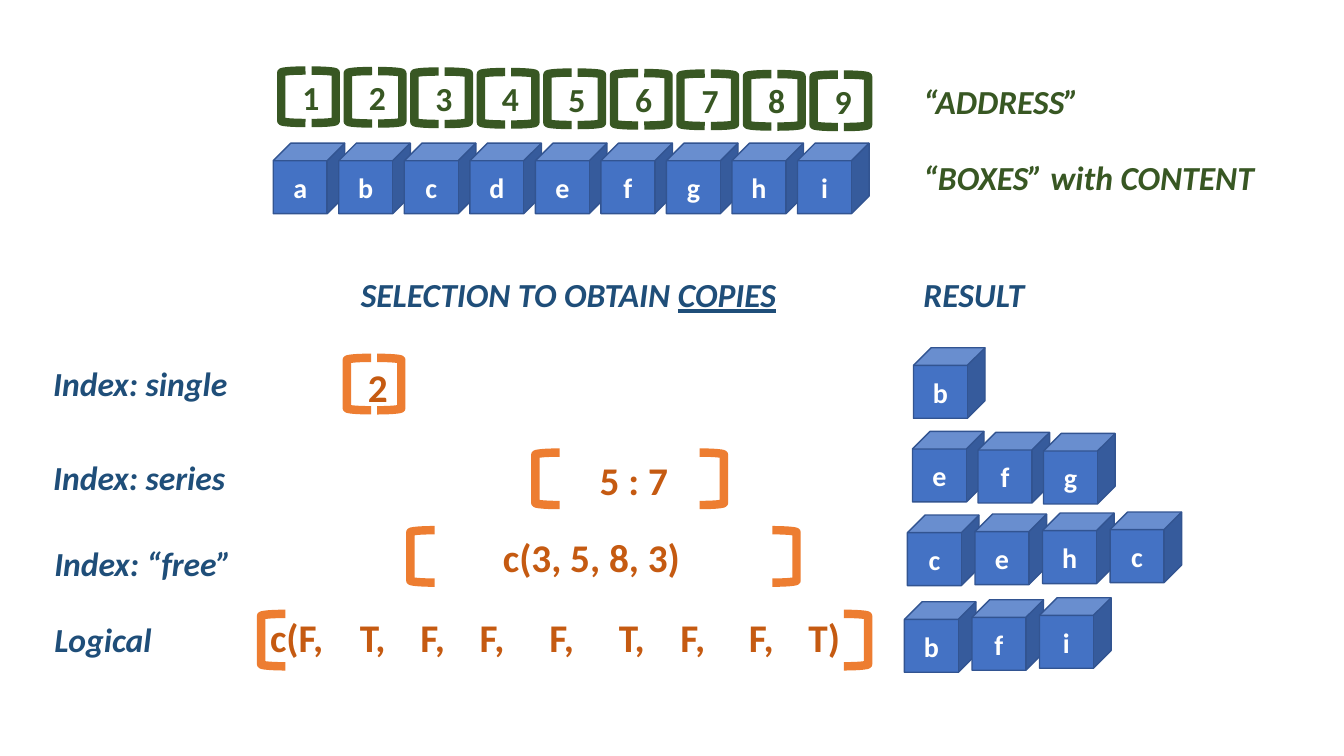
from dataclasses import dataclass

from lxml.etree import SubElement
from pptx import Presentation
from pptx.dml.color import RGBColor
from pptx.enum.shapes import MSO_SHAPE
from pptx.enum.text import MSO_ANCHOR, PP_ALIGN
from pptx.oxml.ns import qn
from pptx.util import Inches, Pt

FONT = "Calibri"
GREEN, NAVY = "385723", "1F4E79"
ORANGE, RUST = "ED7D31", "C55A11"
BLUE, EDGE, WHITE = "4472C4", "325491", "FFFFFF"


@dataclass
class Label:
    """A line of slanted text."""
    text: str
    left: float
    top: float
    width: float
    color: str


@dataclass
class Query:
    """A bracketed selection; both bracket ends are left edges."""
    text: str
    left: float
    top: float
    width: float
    ends: tuple[float, float]
    edge: float
    tabs: tuple[float, ...] = ()


@dataclass
class Stack:
    """A row of cubes, with the step across and the drift down per cube."""
    letters: str
    left: float
    top: float
    step: float = 0.65
    drift: float = 0


def rgb(color: str) -> RGBColor:
    """Turn a hex string into a colour."""
    return RGBColor.from_string(color)


def style(para, size: float, color: str, slant: bool = False) -> None:
    """Set the bold font of a paragraph."""
    font = para.font
    font.name, font.size, font.bold, font.italic = FONT, Pt(size), True, slant
    font.color.rgb = rgb(color)


def write(slide, text: str, left: float, top: float, width: float,
          size: float, color: str, slant: bool = False):
    """Add one line of text and return its paragraph."""
    box = slide.shapes.add_textbox(
        Inches(left), Inches(top), Inches(width), Inches(0.5))
    box.text_frame.word_wrap = True
    para = box.text_frame.paragraphs[0]
    para.add_run().text = text
    style(para, size, color, slant)
    return para


def set_tabs(para, stops: tuple[float, ...]) -> None:
    """Give a paragraph left tab stops, in inches."""
    tabs = SubElement(para._p.get_or_add_pPr(), qn("a:tabLst"))
    for stop in stops:
        SubElement(tabs, qn("a:tab"), pos=str(Inches(stop)), algn="l")


def draw_pair(slide, ends: tuple[float, float], top: float, color: str) -> None:
    """Draw an opening and a closing bracket."""
    for left, turn in zip(ends, (0, 180)):
        mark = slide.shapes.add_shape(
            MSO_SHAPE.LEFT_BRACKET, Inches(left), Inches(top),
            Inches(0.24), Inches(0.52))
        mark.rotation = turn
        mark.shadow.inherit = False
        mark.fill.background()
        mark.line.color.rgb = rgb(color)
        mark.line.width = Pt(6)


def draw_cube(slide, letter: str, left: float, top: float) -> None:
    """Draw a cube that holds one letter."""
    cube = slide.shapes.add_shape(
        MSO_SHAPE.CUBE, Inches(left), Inches(top), Inches(0.71), Inches(0.7))
    cube.shadow.inherit = False
    cube.fill.solid()
    cube.fill.fore_color.rgb = rgb(BLUE)
    cube.line.color.rgb = rgb(EDGE)
    cube.line.width = Pt(1)
    frame = cube.text_frame
    frame.vertical_anchor = MSO_ANCHOR.MIDDLE
    para = frame.paragraphs[0]
    para.text = letter
    para.alignment = PP_ALIGN.CENTER
    style(para, 20, WHITE)


def draw_stack(slide, stack: Stack) -> None:
    """Draw the cubes of a stack from left to right."""
    for i, letter in enumerate(stack.letters):
        draw_cube(slide, letter, stack.left + i * stack.step,
                  stack.top + i * stack.drift)


def draw_slot(slide, index: int) -> None:
    """Draw one numbered address above its box."""
    left, top = 2.79 + 0.66 * index, 0.7 + 0.005 * index
    draw_pair(slide, (left, left + 0.3), top, GREEN)
    write(slide, str(index + 1), left + 0.11, top + 0.01, 0.37, 24, GREEN)


def draw_query(slide, query: Query) -> None:
    """Draw a selection between its brackets."""
    draw_pair(slide, query.ends, query.edge, ORANGE)
    para = write(slide, query.text, query.left, query.top, query.width,
                 28, RUST)
    if query.tabs:
        set_tabs(para, query.tabs)


STACKS = [
    Stack("abcdefghi", 2.71, 1.42),
    Stack("b", 9.06, 3.45),
    Stack("efg", 9.05, 4.28, drift=0.01),
    Stack("cehc", 9, 5.11, 0.67, -0.01),
    Stack("bfi", 8.97, 5.97, 0.67, -0.02),
]
QUERIES = [
    Query("2", 3.55, 3.56, 0.5, (3.44, 3.74), 3.55),
    Query("5 : 7", 5.85, 4.48, 1.1, (5.31, 6.94), 4.49),
    Query("c(3, 5, 8, 3)", 4.89, 5.24, 2.2, (4.07, 7.66), 5.26),
    Query("c(F,\tT,\tF,\tF,\tF,\tT,\tF,\tF,\tT)", 2.58, 6.04, 6.2,
          (2.59, 8.37), 6.09,
          (0.89, 1.49, 2.08, 2.77, 3.46, 4.07, 4.75, 5.34)),
]
LABELS = [
    Label("“ADDRESS”", 9.06, 0.75, 3.9, GREEN),
    Label("“BOXES” with CONTENT", 9.06, 1.51, 3.9, GREEN),
    Label("RESULT", 9.06, 2.67, 2.78, NAVY),
    Label("Index: single", 0.43, 3.55, 2.1, NAVY),
    Label("Index: series", 0.43, 4.48, 2.1, NAVY),
    Label("Index: “free”", 0.44, 5.34, 2.1, NAVY),
    Label("Logical", 0.44, 6.09, 2.1, NAVY),
]


def main() -> None:
    """Build and save the slide."""
    deck = Presentation()
    deck.slide_width, deck.slide_height = Inches(13.33), Inches(7.5)
    slide = deck.slides.add_slide(deck.slide_layouts[6])
    for stack in STACKS:
        draw_stack(slide, stack)
    for index in range(len(STACKS[0].letters)):
        draw_slot(slide, index)
    for query in QUERIES:
        draw_query(slide, query)
    for label in LABELS:
        write(slide, label.text, label.left, label.top, label.width,
              24, label.color, True)
    head = write(slide, "SELECTION TO OBTAIN ", 3.48, 2.67, 4.5,
                 24, NAVY, True)
    copies = head.add_run()
    copies.text = "COPIES"
    copies.font.underline = True
    deck.save("out.pptx")


main()
